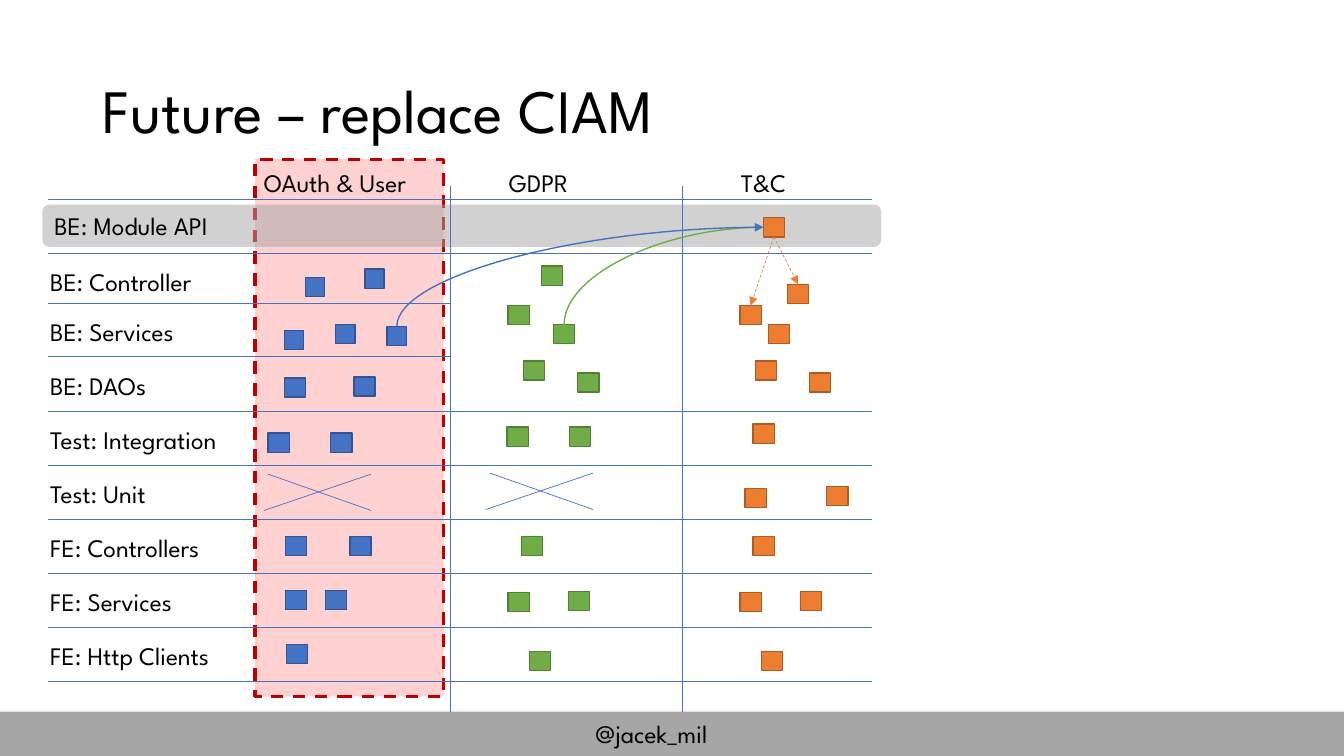
from lxml import etree
from pptx import Presentation
from pptx.dml.color import RGBColor
from pptx.enum.dml import MSO_LINE
from pptx.enum.shapes import MSO_CONNECTOR, MSO_SHAPE
from pptx.enum.text import MSO_ANCHOR, PP_ALIGN
from pptx.oxml.ns import qn
from pptx.util import Inches, Pt

STRAIGHT, CURVE = MSO_CONNECTOR.STRAIGHT, MSO_CONNECTOR.CURVE
RECT, ROUNDED = MSO_SHAPE.RECTANGLE, MSO_SHAPE.ROUNDED_RECTANGLE
DASH = MSO_LINE.DASH
MIDDLE, LEFT = MSO_ANCHOR.MIDDLE, PP_ALIGN.LEFT
TOP_SIDE, LEFT_SIDE, BOTTOM_SIDE = 0, 1, 2

FONT = "League Spartan"
BLACK = RGBColor(0x00, 0x00, 0x00)
RED = RGBColor(0xFF, 0x00, 0x00)
DARK_RED = RGBColor(0xC0, 0x00, 0x00)
BAND_GREY = RGBColor(0xA5, 0xA5, 0xA5)
FOOTER_GREY = RGBColor(0xA6, 0xA6, 0xA6)
BLUE, DARK_BLUE = RGBColor(0x44, 0x72, 0xC4), RGBColor(0x32, 0x54, 0x91)
GREEN, DARK_GREEN = RGBColor(0x70, 0xAD, 0x47), RGBColor(0x53, 0x80, 0x35)
ORANGE, DARK_ORANGE = RGBColor(0xED, 0x7D, 0x31), RGBColor(0xAF, 0x5C, 0x24)

WIDTH, HEIGHT, FOOTER_TOP = 13.33, 7.5, 7.06
GRID_LEFT, GRID_RIGHT, GRID_TOP = 0.48, 8.65, 1.85
COLUMNS = [2.17 + 2.3 * i for i in range(3)]
ROWS = [1.98, 2.51, 3.01] + [3.54 + 0.537 * i for i in range(7)]
SHORT_ROWS = (2, 3)
UNIT_ROW = 5
LABELS = ["BE: Controller", "BE: Services", "BE: DAOs", "Test: Integration",
          "Test: Unit", "FE: Controllers", "FE: Services", "FE: Http Clients"]
HEADERS = [("OAuth & User", 0.35), ("GDPR", 0.48), ("T&C", 0.48)]
COLOURS = [(BLUE, DARK_BLUE), (GREEN, DARK_GREEN), (ORANGE, DARK_ORANGE)]
TILE_W, TILE_H, SMALL_TILE = 0.21, 0.19, 0.19
TILES = [
    {1: [(0.86, 0.24), (1.45, 0.16)],
     2: [(1.16, 0.21), (0.65, 0.27), (1.67, 0.23)],
     3: [(0.65, 0.21), (1.34, 0.2)],
     4: [(0.49, 0.22), (1.11, 0.22)],
     6: [(0.66, 0.17), (1.3, 0.17)],
     7: [(0.66, 0.17), (1.06, 0.17)],
     8: [(0.67, 0.17)]},
    {1: [(0.9, 0.13)],
     2: [(0.57, 0.02), (1.02, 0.21)],
     3: [(0.72, 0.04), (1.26, 0.16)],
     4: [(0.56, 0.16), (1.18, 0.16)],
     6: [(0.7, 0.17)],
     7: [(0.57, 0.19), (1.17, 0.18)],
     8: [(0.78, 0.24)]},
    {0: [(0.8, 0.18)],
     1: [(1.04, 0.31)],
     2: [(0.57, 0.02), (0.85, 0.21)],
     3: [(0.72, 0.04), (1.26, 0.16)],
     4: [(0.7, 0.13)],
     5: [(0.62, 0.23), (1.43, 0.21)],
     6: [(0.7, 0.17)],
     7: [(0.57, 0.19), (1.17, 0.18)],
     8: [(0.78, 0.24)]},
]


def write(shape, text, size=18):
    """Put one left-aligned paragraph into a shape."""
    tf = shape.text_frame
    tf.word_wrap = True
    p = tf.paragraphs[0]
    p.text = text
    p.alignment = LEFT
    p.font.name, p.font.size, p.font.color.rgb = FONT, Pt(size), BLACK
    return p


def add_label(s, text, x, y, w=2.2):
    """Add a text box one line high."""
    write(s.shapes.add_textbox(Inches(x), Inches(y), Inches(w), Inches(0.4)), text)


def add_box(s, kind, x, y, w, h, fill, line=None, weight=1, opacity=None):
    """Add a filled shape with an optional outline and opacity in percent."""
    sp = s.shapes.add_shape(kind, Inches(x), Inches(y), Inches(w), Inches(h))
    sp.shadow.inherit = False
    sp.fill.solid()
    sp.fill.fore_color.rgb = fill
    if opacity is not None:
        colour = next(sp._element.spPr.iter(qn("a:srgbClr")))
        etree.SubElement(colour, qn("a:alpha")).set("val", str(opacity * 1000))
    if line is None:
        sp.line.fill.background()
    else:
        sp.line.color.rgb, sp.line.width = line, Pt(weight)
    return sp


def add_line(s, x1, y1, x2, y2, colour=BLUE, weight=0.5, kind=STRAIGHT):
    """Add a plain connector between two points."""
    line = s.shapes.add_connector(kind, Inches(x1), Inches(y1), Inches(x2), Inches(y2))
    line.line.color.rgb, line.line.width = colour, Pt(weight)
    etree.SubElement(line._element.spPr, qn("a:effectLst"))
    return line


def add_arrow(s, start, start_side, end, end_side, colour, weight, kind=STRAIGHT):
    """Join two tiles with an arrow."""
    arrow = add_line(s, 0, 0, 1, 1, colour, weight, kind)
    arrow.begin_connect(start, start_side)
    arrow.end_connect(end, end_side)
    if kind == STRAIGHT:
        arrow.line.dash_style = DASH
    ln = arrow._element.spPr.find(qn("a:ln"))
    etree.SubElement(ln, qn("a:tailEnd")).set("type", "triangle")
    return arrow


def add_curve(s, start, end, colour):
    """Curve up from the top of one tile and right into the side of another."""
    arrow = add_arrow(s, start, TOP_SIDE, end, LEFT_SIDE, colour, 1, CURVE)
    x1, y1 = start.left + start.width // 2, start.top
    x2, y2 = end.left, end.top + end.height // 2
    arrow.width, arrow.height = y1 - y2, x2 - x1
    arrow.left = (x1 + x2 - arrow.width) // 2
    arrow.top = (y1 + y2 - arrow.height) // 2
    spPr = arrow._element.spPr
    spPr.find(qn("a:prstGeom")).set("prst", "curvedConnector2")
    for name, value in (("rot", "5400000"), ("flipH", "1"), ("flipV", "1")):
        spPr.find(qn("a:xfrm")).set(name, value)


def add_cross(s, x, y, w=1.06, h=0.36):
    """Cross out an empty cell."""
    add_line(s, x + 0.04, y, x + w, y + h)
    add_line(s, x, y + h, x + w, y)


def add_title(s, text):
    """Place and format the title."""
    title = s.shapes.title
    title.left, title.top = Inches(0.92), Inches(0.4)
    title.width, title.height = Inches(11.5), Inches(1.45)
    title.text_frame.vertical_anchor = MIDDLE
    write(title, text, 44).line_spacing = 0.9


def add_grid(s):
    """Draw the row and column lines with their labels."""
    for i, y in enumerate(ROWS):
        add_line(s, GRID_LEFT, y, COLUMNS[1] if i in SHORT_ROWS else GRID_RIGHT, y)
    for x in COLUMNS[1:]:
        add_line(s, x, GRID_TOP, x, FOOTER_TOP)
    for text, y in zip(LABELS, ROWS[1:]):
        add_label(s, text, 0.4, y + 0.08)
    for (text, indent), x in zip(HEADERS, COLUMNS):
        add_label(s, text, x + indent, 1.61, 1.87)


def add_tiles(s):
    """Draw the tiles and return them by column, row and place in the cell."""
    tiles = {}
    for c, rows in enumerate(TILES):
        for r, cell in rows.items():
            w = SMALL_TILE if c == 0 and r in (1, 2) else TILE_W
            for i, (dx, dy) in enumerate(cell):
                tiles[c, r, i] = add_box(s, RECT, COLUMNS[c] + dx, ROWS[r] + dy,
                                         w, TILE_H, *COLOURS[c])
    return tiles


def main():
    """Build the slide."""
    prs = Presentation()
    prs.slide_width, prs.slide_height = Inches(WIDTH), Inches(HEIGHT)
    s = prs.slides.add_slide(prs.slide_layouts[5])
    add_title(s, "Future – replace CIAM")
    add_box(s, RECT, 0, FOOTER_TOP, WIDTH, HEIGHT - FOOTER_TOP, FOOTER_GREY)
    add_label(s, "@jacek_mil", 5.81, 7.08, 1.71)
    removed = add_box(s, RECT, 2.53, 1.58, 1.87, 5.33, RED, DARK_RED, 2.25, 18)
    removed.line.dash_style = DASH
    band = add_box(s, ROUNDED, 0.42, 2.03, 8.32, 0.42, BAND_GREY, opacity=50)
    band.text_frame.vertical_anchor = MIDDLE
    write(band, "BE: Module API")
    add_grid(s)
    add_cross(s, COLUMNS[0] + 0.45, ROWS[UNIT_ROW] + 0.09)
    add_cross(s, COLUMNS[1] + 0.35, ROWS[UNIT_ROW] + 0.08)
    tiles = add_tiles(s)
    api = tiles[2, 0, 0]
    add_curve(s, tiles[1, 2, 1], api, GREEN)
    add_curve(s, tiles[0, 2, 2], api, BLUE)
    for target in (tiles[2, 2, 0], tiles[2, 1, 0]):
        add_arrow(s, api, BOTTOM_SIDE, target, TOP_SIDE, ORANGE, 0.5)
    prs.save("out.pptx")


if __name__ == "__main__":
    main()
